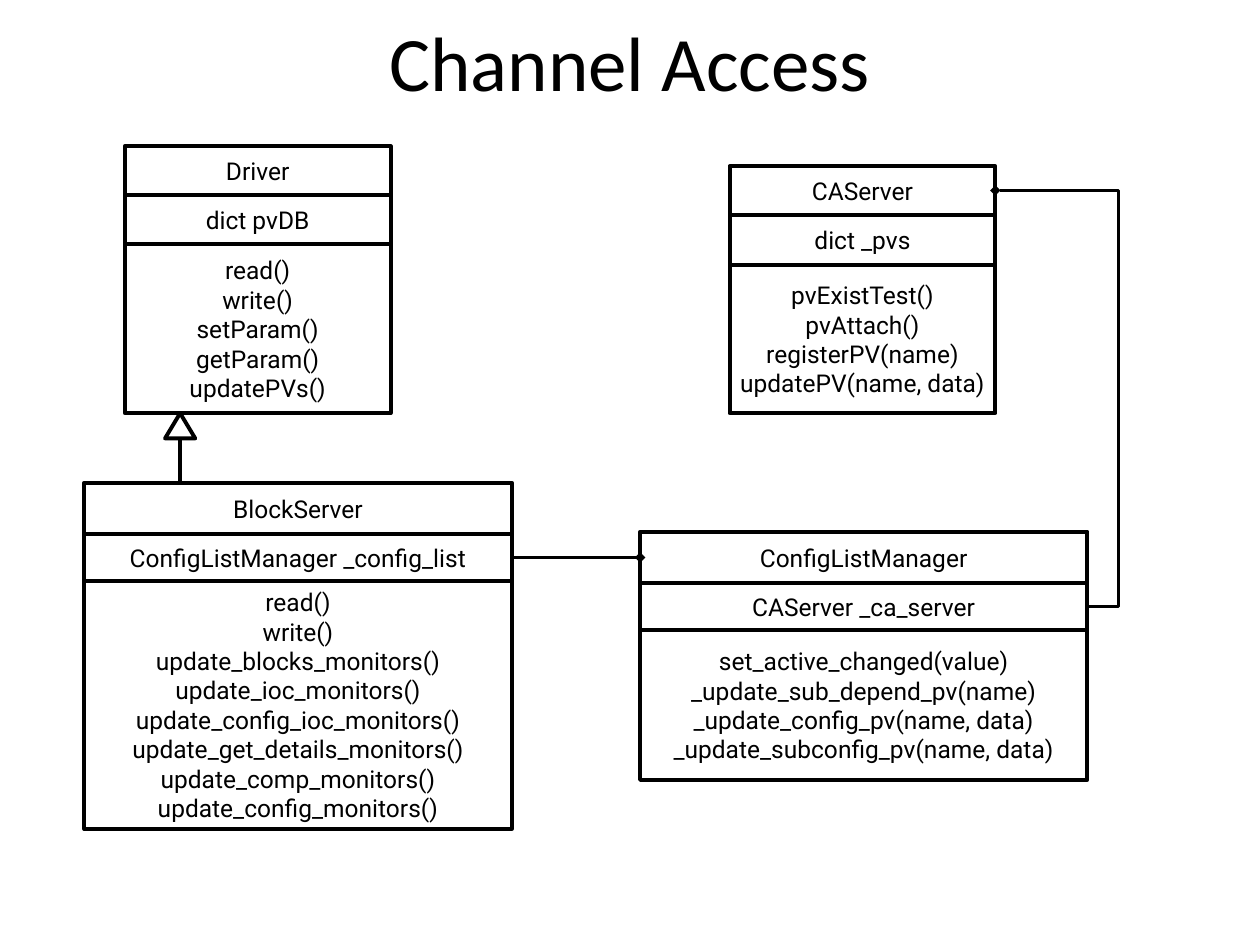
import pptx
import pptx.util
import pptx.dml.color
import pptx.enum.shapes
import pptx.enum.text
import pptx.oxml
import pptx.oxml.ns
from dataclasses import dataclass

Inches = pptx.util.Inches
MSO_SHAPE = pptx.enum.shapes.MSO_SHAPE
MSO_CONNECTOR = pptx.enum.shapes.MSO_CONNECTOR


@dataclass(frozen=True)
class Theme:
    ink: pptx.dml.color.RGBColor = pptx.dml.color.RGBColor(0, 0, 0)
    title_font: str = "Calibri"
    title_size: int = 44
    body_font: str = "Roboto"
    body_size: int = 14
    box_line: float = 2.25
    link_line: float = 1.5


THEME = Theme()
TITLE = "Channel Access"
CLASSES = [
    {"name": "Driver", "field": "dict pvDB",
     "methods": ["read()", "write()", "setParam()", "getParam()", "updatePVs()"],
     "at": (0.99, 1.16), "width": 2.11, "heights": (0.385, 0.395, 1.34)},
    {"name": "BlockServer", "field": "ConfigListManager _config_list",
     "methods": ["read()", "write()", "update_blocks_monitors()",
                 "update_ioc_monitors()", "update_config_ioc_monitors()",
                 "update_get_details_monitors()", "update_comp_monitors()",
                 "update_config_monitors()"],
     "at": (0.67, 3.83), "width": 3.39, "heights": (0.41, 0.37, 1.97)},
    {"name": "ConfigListManager", "field": "CAServer _ca_server",
     "methods": ["set_active_changed(value)", "_update_sub_depend_pv(name)",
                 "_update_config_pv(name, data)",
                 "_update_subconfig_pv(name, data)"],
     "at": (5.08, 4.22), "width": 3.55, "heights": (0.41, 0.37, 1.19)},
    {"name": "CAServer", "field": "dict _pvs",
     "methods": ["pvExistTest()", "pvAttach()", "registerPV(name)",
                 "updatePV(name, data)"],
     "at": (5.79, 1.32), "width": 2.11, "heights": (0.385, 0.395, 1.18)},
]
COMPOSITIONS = [("BlockServer", "ConfigListManager", 50000),
                ("ConfigListManager", "CAServer", -34100)]
TRIANGLE_CENTER, TRIANGLE_W, TRIANGLE_H = 1.43, 0.24, 0.2


def style_text(tf, font, size):
    tf.vertical_anchor = pptx.enum.text.MSO_ANCHOR.MIDDLE
    for p in tf.paragraphs:
        p.alignment = pptx.enum.text.PP_ALIGN.CENTER
        for r in p.runs:
            r.font.name = font
            r.font.size = pptx.util.Pt(size)
            r.font.color.rgb = THEME.ink


def style_line(sp, width):
    sp.line.color.rgb = THEME.ink
    sp.line.width = pptx.util.Pt(width)


def add_outline(slide, kind, left, top, width, height):
    sp = slide.shapes.add_shape(kind, Inches(left), Inches(top),
                                Inches(width), Inches(height))
    sp.shadow.inherit = False
    sp.fill.background()
    style_line(sp, THEME.box_line)
    return sp


def add_class(slide, item):
    left, top = item["at"]
    kinds = (MSO_SHAPE.FLOWCHART_PROCESS, MSO_SHAPE.FLOWCHART_PROCESS,
             MSO_SHAPE.RECTANGLE)
    texts = (item["name"], item["field"], "\n".join(item["methods"]))
    boxes = []
    for kind, text, height in zip(kinds, texts, item["heights"]):
        sp = add_outline(slide, kind, left, top, item["width"], height)
        sp.text_frame.text = text
        sp.text_frame.word_wrap = False
        style_text(sp.text_frame, THEME.body_font, THEME.body_size)
        boxes.append(sp)
        top += height
    return boxes


def add_link(slide, kind, start, end, width):
    cxn = slide.shapes.add_connector(kind, *start, *end)
    style_line(cxn, width)
    pptx.oxml.ns.qn("a:effectLst")
    cxn._element.spPr.append(pptx.oxml.parse_xml(
        f'<a:effectLst {pptx.oxml.ns.nsdecls("a")}/>'))
    return cxn


def add_composition(slide, owner, part, bend):
    start = (owner.left + owner.width, owner.top + owner.height // 2)
    side = 1 if part.left > owner.left + owner.width else 3
    end = (part.left + (part.width if side == 3 else 0),
           part.top + part.height // 2)
    cxn = add_link(slide, MSO_CONNECTOR.ELBOW, start, end, THEME.link_line)
    cxn.begin_connect(owner, 3)
    cxn.end_connect(part, side)
    ns = pptx.oxml.ns.nsdecls("a")
    guides = cxn._element.spPr.find(".//" + pptx.oxml.ns.qn("a:avLst"))
    guides.append(pptx.oxml.parse_xml(
        f'<a:gd {ns} name="adj1" fmla="val {bend}"/>'))
    cxn.line._get_or_add_ln().append(pptx.oxml.parse_xml(
        f'<a:tailEnd {ns} type="diamond"/>'))


def add_inheritance(slide, parent, child):
    top = (parent.top + parent.height) / Inches(1)
    add_outline(slide, MSO_SHAPE.ISOSCELES_TRIANGLE,
                TRIANGLE_CENTER - TRIANGLE_W / 2, top, TRIANGLE_W, TRIANGLE_H)
    x = Inches(TRIANGLE_CENTER)
    add_link(slide, MSO_CONNECTOR.STRAIGHT, (x, Inches(top + TRIANGLE_H)),
             (x, child.top), THEME.box_line)


def main():
    prs = pptx.Presentation()
    prs.slide_width, prs.slide_height = Inches(10), Inches(7.5)
    slide = prs.slides.add_slide(prs.slide_layouts[0])
    subtitle = slide.placeholders[1]._element
    subtitle.getparent().remove(subtitle)

    title = slide.shapes.title
    title.left, title.top = Inches(2.01), Inches(-0.03)
    title.width, title.height = Inches(5.98), Inches(1.02)
    title.text_frame.text = TITLE
    style_text(title.text_frame, THEME.title_font, THEME.title_size)

    boxes = {item["name"]: add_class(slide, item) for item in CLASSES}
    add_inheritance(slide, boxes["Driver"][2], boxes["BlockServer"][0])
    for owner, part, bend in COMPOSITIONS:
        add_composition(slide, boxes[owner][1], boxes[part][0], bend)
    prs.save("out.pptx")


if __name__ == "__main__":
    main()
